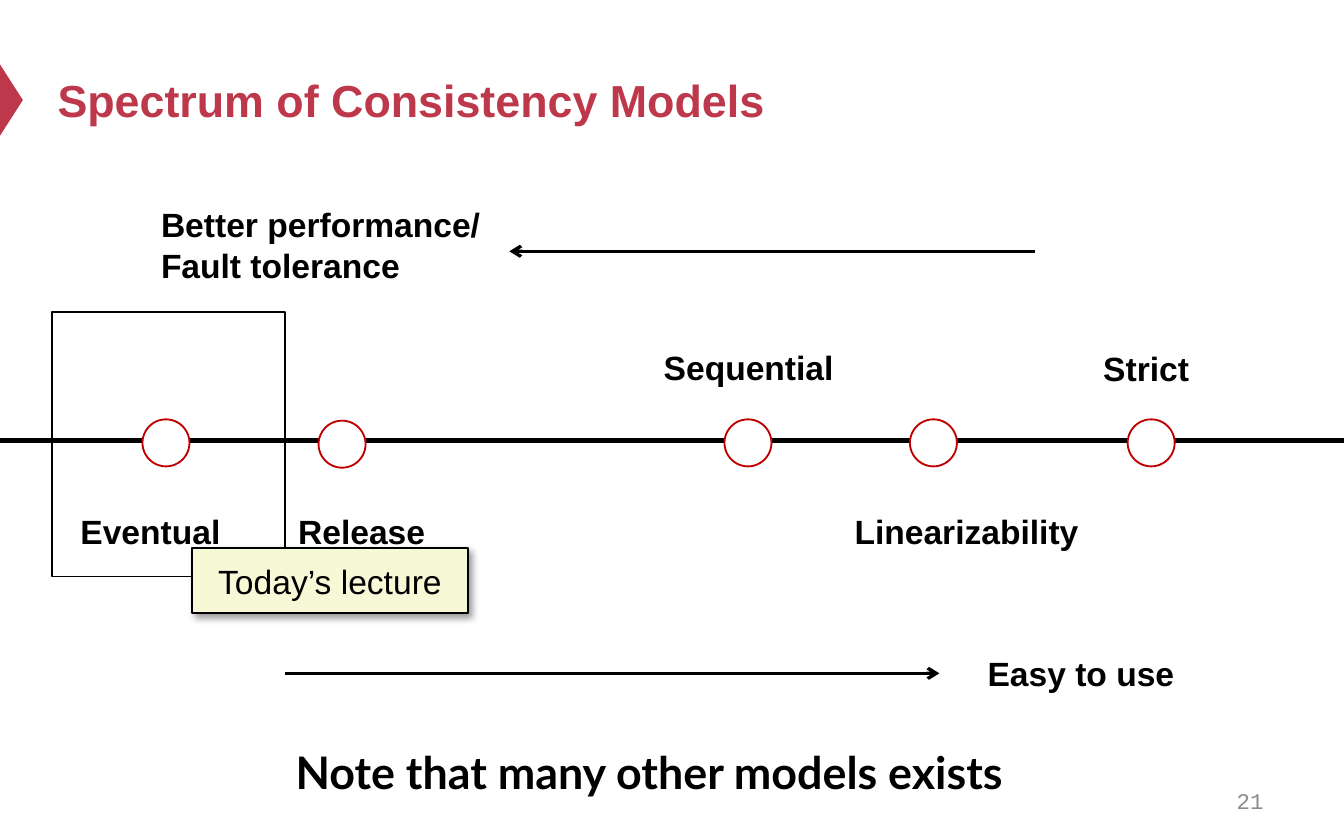
"""Build the slide that places consistency models along a spectrum."""
from lxml import etree
from pptx import Presentation, util as u
from pptx.dml.color import RGBColor
from pptx.enum import shapes as s, text as t
from pptx.oxml import ns

COLORS = {"accent": "BE384B", "ink": "000000", "ring": "C00000",
          "paper": "FFFFFF", "note": "F7F9D6", "muted": "8C8C8C"}
LABEL = {"size": 18, "name": "Arial", "bold": True}
HEADING = {"size": 24, "name": "Arial", "bold": True}
REMARK = {"size": 24, "name": "Lato", "bold": True}
NUMBER = {"size": 12, "name": "Courier New", "bold": False}
CALLOUT = {"size": 18, "name": "Arial", "bold": False}

DIAMETER = 0.35
MODELS = [
    ("Eventual", (1.06, 3.12), (0.5, 3.75, 1.25)),
    ("Release", (2.37, 3.13), (2.12, 3.75, 1.23)),
    ("Sequential", (5.39, 3.12), (4.84, 2.53, 1.48)),
    ("Linearizability", (6.77, 3.12), (6.26, 3.75, 1.88)),
    ("Strict", (8.39, 3.12), (8.11, 2.54, 0.92)),
]
TRENDS = [
    (["Better performance/", "Fault tolerance"], (1.1, 1.47, 2.6, 0.71), (7.7, 3.79, 1.87)),
    (["Easy to use"], (7.25, 4.81, 1.6, 0.4), (2.12, 6.99, 5.01)),
]
PANELS = [
    (["Spectrum of Consistency Models"], (0.33, 0.25, 9, 0.98), HEADING, "accent", "LEFT"),
    (["Note that many other models exists"], (0.33, 5.25, 9, 0.98), REMARK, "ink", "CENTER"),
    (["21"], (7.17, 5.79, 2.33, 0.33), NUMBER, "muted", "RIGHT"),
]


def rgb(key):
    return RGBColor.from_string(COLORS[key])


def inches(values):
    return [u.Inches(value) for value in values]


def write(frame, lines, style, color, align="LEFT"):
    for index, line in enumerate(lines):
        paragraph = frame.paragraphs[0] if index == 0 else frame.add_paragraph()
        paragraph.alignment = getattr(t.PP_ALIGN, align)
        run = paragraph.add_run()
        run.text = line
        for key, value in style.items():
            setattr(run.font, key, u.Pt(value) if key == "size" else value)
        run.font.color.rgb = rgb(color)


def add_label(slide, lines, box):
    frame = slide.shapes.add_textbox(*inches(box)).text_frame
    frame.word_wrap = False
    frame.auto_size = t.MSO_AUTO_SIZE.SHAPE_TO_FIT_TEXT
    write(frame, lines, LABEL, "ink")


def add_panel(slide, lines, box, style, color, align):
    frame = slide.shapes.add_textbox(*inches(box)).text_frame
    frame.word_wrap = True
    frame.vertical_anchor = t.MSO_ANCHOR.MIDDLE
    write(frame, lines, style, color, align)


def add_outline(slide, kind, box, fill=None, line=None):
    outline = slide.shapes.add_shape(getattr(s.MSO_SHAPE, kind), *inches(box))
    outline.shadow.inherit = False
    if fill:
        outline.fill.solid()
        outline.fill.fore_color.rgb = rgb(fill)
    else:
        outline.fill.background()
    if line:
        outline.line.color.rgb = rgb(line)
        outline.line.width = u.Pt(1)
    else:
        outline.line.fill.background()
    return outline


def add_line(slide, start, end, y, width, arrow=False):
    line = slide.shapes.add_connector(s.MSO_CONNECTOR.STRAIGHT, *inches((start, y, end, y)))
    line.line.color.rgb = rgb("ink")
    line.line.width = u.Pt(width)
    if arrow:
        etree.SubElement(line.line._get_or_add_ln(), ns.qn("a:tailEnd"), type="arrow")
    etree.SubElement(line._element.spPr, ns.qn("a:effectLst"))


def cast_shadow(shape):
    effects = shape._element.spPr.find(ns.qn("a:effectLst"))
    shadow = etree.SubElement(effects, ns.qn("a:outerShdw"), blurRad=str(u.Pt(4)),
                              dist=str(u.Pt(3)), dir=str(45 * 60000),
                              algn="tl", rotWithShape="0")
    tint = etree.SubElement(shadow, ns.qn("a:srgbClr"), val=COLORS["ink"])
    etree.SubElement(tint, ns.qn("a:alpha"), val="40000")


def main():
    deck = Presentation()
    deck.slide_width, deck.slide_height = inches((10, 6.25))
    slide = deck.slides.add_slide(deck.slide_layouts[6])

    marker = add_outline(slide, "ISOSCELES_TRIANGLE", (-0.18, 0.66, 0.53, 0.17), "accent")
    marker.rotation = 90
    for panel in PANELS:
        add_panel(slide, *panel)

    add_line(slide, 0, 10, 3.28, 2.5)
    for name, corner, label in MODELS:
        add_outline(slide, "OVAL", (*corner, DIAMETER, DIAMETER), "paper", "ring")
        add_label(slide, [name], (*label, 0.4))
    for lines, box, arrow in TRENDS:
        add_label(slide, lines, box)
        add_line(slide, *arrow, 1.75, arrow=True)

    add_outline(slide, "RECTANGLE", (0.39, 2.32, 1.73, 1.97), line="ink")
    lecture = add_outline(slide, "RECTANGLE", (1.43, 4.08, 2.05, 0.48), "note", "ink")
    cast_shadow(lecture)
    lecture.text_frame.vertical_anchor = t.MSO_ANCHOR.MIDDLE
    write(lecture.text_frame, ["Today’s lecture"], CALLOUT, "ink", "CENTER")
    deck.save("out.pptx")


if __name__ == "__main__":
    main()
